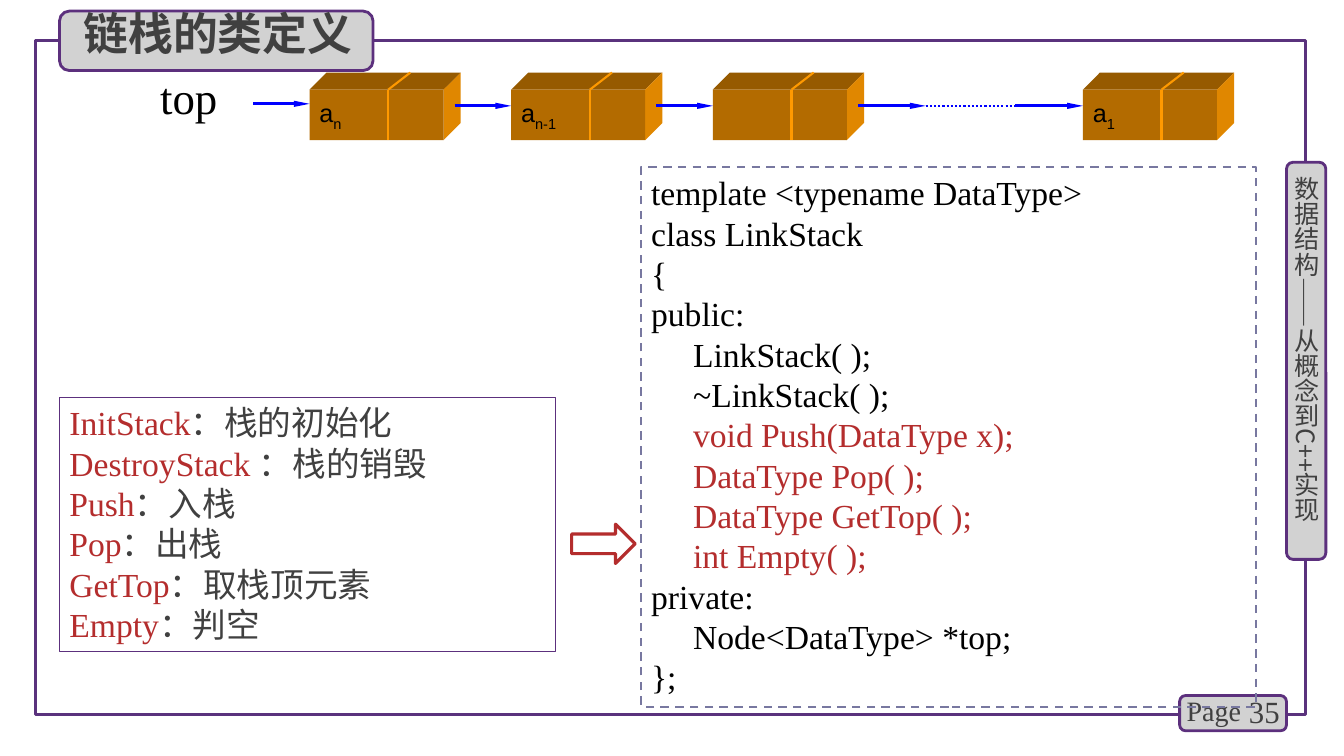
from pptx import Presentation
from pptx.dml.color import RGBColor
from pptx.enum.dml import MSO_LINE
from pptx.enum.shapes import MSO_CONNECTOR, MSO_SHAPE
from pptx.enum.text import MSO_ANCHOR, PP_ALIGN
from pptx.oxml.ns import qn
from pptx.util import Inches, Pt
from lxml import etree

RECT, ROUND, ARROW = MSO_SHAPE.RECTANGLE, MSO_SHAPE.ROUNDED_RECTANGLE, MSO_SHAPE.RIGHT_ARROW
STRAIGHT = MSO_CONNECTOR.STRAIGHT
DASH, DOT = MSO_LINE.DASH, MSO_LINE.ROUND_DOT
TOP, MIDDLE = MSO_ANCHOR.TOP, MSO_ANCHOR.MIDDLE
LEFT, RIGHT = PP_ALIGN.LEFT, PP_ALIGN.RIGHT


class Theme:
    frame, edge, dash = "5A327D", "5C307D", "7878A0"
    grey, text, black, red = "D2D2D2", "404040", "000000", "B42D2D"
    front, roof, side, seam, link = "B36B00", "965A00", "E08700", "FF9900", "0000FF"
    serif, sans, cjk = "Times New Roman", "Arial", "Noto Sans CJK SC"
    title, body, number, page, small = 32, 24, 22, 20, 18


prs = Presentation()
prs.slide_width, prs.slide_height = Inches(13.33), Inches(7.5)
slide = prs.slides.add_slide(prs.slide_layouts[6])
shapes = slide.shapes


def box(kind, at, fill=None, line=None, width=1, dash=None, paras=(), size=Theme.body,
        font=Theme.serif, bold=False, anchor=TOP, align=LEFT, spacing=None, vert=False):
    """Add a shape, or a text box if kind is None; paras hold (text, colour, baseline) runs."""
    place = [Inches(v) for v in at]
    if kind is None:
        shape = shapes.add_textbox(*place)
    else:
        shape = shapes.add_shape(kind, *place)
        shape.shadow.inherit = False
    if fill:
        shape.fill.solid()
        shape.fill.fore_color.rgb = RGBColor.from_string(fill)
    else:
        shape.fill.background()
    if line:
        shape.line.color.rgb = RGBColor.from_string(line)
        shape.line.width = Pt(width)
        if dash:
            shape.line.dash_style = dash
    else:
        shape.line.fill.background()
    frame = shape.text_frame
    frame.word_wrap = True
    frame.vertical_anchor = anchor
    if vert:
        frame.margin_left = frame.margin_right = frame.margin_top = frame.margin_bottom = 0
        frame._txBody.bodyPr.set("vert", "eaVert")
    for i, runs in enumerate(paras):
        para = frame.paragraphs[0] if i == 0 else frame.add_paragraph()
        para.alignment = align
        para.line_spacing = spacing or Pt(size * 1.2)
        for text, color, base in runs:
            run = para.add_run()
            run.text = text
            run.font.size, run.font.name, run.font.bold = Pt(size), font, bold
            run.font.color.rgb = RGBColor.from_string(color)
            props = run.font._element
            etree.SubElement(props, qn("a:ea")).set("typeface", Theme.cjk)
            if base:
                props.set("baseline", str(base * 1000))


def link(x1, y1, x2, y2, color, width, head=False, dash=None):
    """Add a straight line, with a slim arrowhead at its end if head is set."""
    conn = shapes.add_connector(STRAIGHT, Inches(x1), Inches(y1), Inches(x2), Inches(y2))
    conn.line.color.rgb = RGBColor.from_string(color)
    conn.line.width = Pt(width)
    if dash:
        conn.line.dash_style = dash
    if head:
        tail = etree.SubElement(conn.line._get_or_add_ln(), qn("a:tailEnd"))
        for key, value in (("type", "triangle"), ("w", "sm"), ("len", "lg")):
            tail.set(key, value)
    etree.SubElement(conn._element.spPr, qn("a:effectLst"))


# Frame, page number and side banner
badge = {"fill": Theme.grey, "line": Theme.edge, "width": 2}
box(RECT, (0.35, 0.4, 12.6, 6.69), line=Theme.frame, width=2.25)
box(ROUND, (11.7, 6.9, 1.06, 0.35), **badge)
box(None, (12.2, 6.86, 0.59, 0.4), paras=[[("35", Theme.text, 0)]], size=Theme.number,
    anchor=MIDDLE, align=RIGHT)
box(None, (11.67, 6.83, 0.78, 0.44), paras=[[("Page", Theme.text, 0)]], size=Theme.page)
box(ROUND, (12.76, 1.61, 0.39, 3.94), **badge)
box(None, (12.81, 1.75, 0.3, 3.78), paras=[[("数据结构——从概念到C++实现", Theme.text, 0)]],
    size=Theme.small, font=Theme.cjk, vert=True)

# Title
box(ROUND, (0.59, 0.11, 3.11, 0.59), **badge)
box(None, (0.73, 0.07, 3.1, 0.64), paras=[[("链栈的类定义", Theme.text, 0)]],
    size=Theme.title, font=Theme.cjk, bold=True, spacing=0.9)

# Class definition
code = [
    (Theme.black, ["template <typename DataType>", "class LinkStack", "{", "public:",
                   "     LinkStack( );", "     ~LinkStack( );"]),
    (Theme.red, ["     void Push(DataType x);", "     DataType Pop( );",
                 "     DataType GetTop( );", "     int Empty( );"]),
    (Theme.black, ["private:", "     Node<DataType> *top;", "};"]),
]
box(RECT, (6.36, 1.66, 6.1, 5.35), line=Theme.dash, width=1.5, dash=DASH,
    paras=[[(row, color, 0)] for color, rows in code for row in rows])

# Operations
tasks = [("InitStack", "：栈的初始化"), ("DestroyStack ", "：栈的销毁"), ("Push", "：入栈"),
         ("Pop", "：出栈"), ("GetTop", "：取栈顶元素"), ("Empty", "：判空")]
box(RECT, (0.59, 3.94, 4.92, 2.52), line=Theme.edge, width=0.75,
    paras=[[(name, Theme.red, 0), (note, Theme.text, 0)] for name, note in tasks])
box(ARROW, (5.67, 5.2, 0.63, 0.39), line=Theme.red, width=2.25)

# Linked nodes
box(None, (1.49, 0.64, 0.78, 0.64), paras=[[("top", Theme.black, 0)]], size=Theme.title)
y, wide, high, deep = 0.89, 1.33, 0.5, 0.17
for x, sub in ((3.07, "n"), (5.07, "n-1"), (7.07, ""), (10.74, "1")):
    right, back = x + wide, y - deep
    faces = [
        (Theme.roof, [(x, y), (x + deep, back), (right + deep, back), (right, y)]),
        (Theme.side, [(right, y), (right + deep, back), (right + deep, back + high),
                      (right, y + high)]),
    ]
    for color, points in faces:
        spots = [(Inches(px), Inches(py)) for px, py in points]
        pen = shapes.build_freeform(*spots[0])
        pen.add_line_segments(spots[1:])
        face = pen.convert_to_shape()
        face.shadow.inherit = False
        face.fill.solid()
        face.fill.fore_color.rgb = RGBColor.from_string(color)
        face.line.fill.background()
    label = [[("a", Theme.black, 0), (sub, Theme.black, -25)]] if sub else []
    box(RECT, (x, y, wide, high), fill=Theme.front, paras=label, size=Theme.small,
        font=Theme.sans, anchor=MIDDLE, spacing=1.0)
    seam = x + 0.78
    link(seam, y, seam, y + high, Theme.seam, 1.5)
    link(seam, y, seam + 0.22, back, Theme.seam, 1.5)

for x1, x2, level in ((2.51, 3.07, 1.03), (4.51, 5.07, 1.05), (6.51, 7.07, 1.05),
                      (8.51, 9.18, 1.05), (10.07, 10.74, 1.05)):
    link(x1, level, x2, level, Theme.link, 2.25, head=True)
link(9.18, 1.05, 10.07, 1.05, Theme.link, 1.5, dash=DOT)

prs.save("out.pptx")
